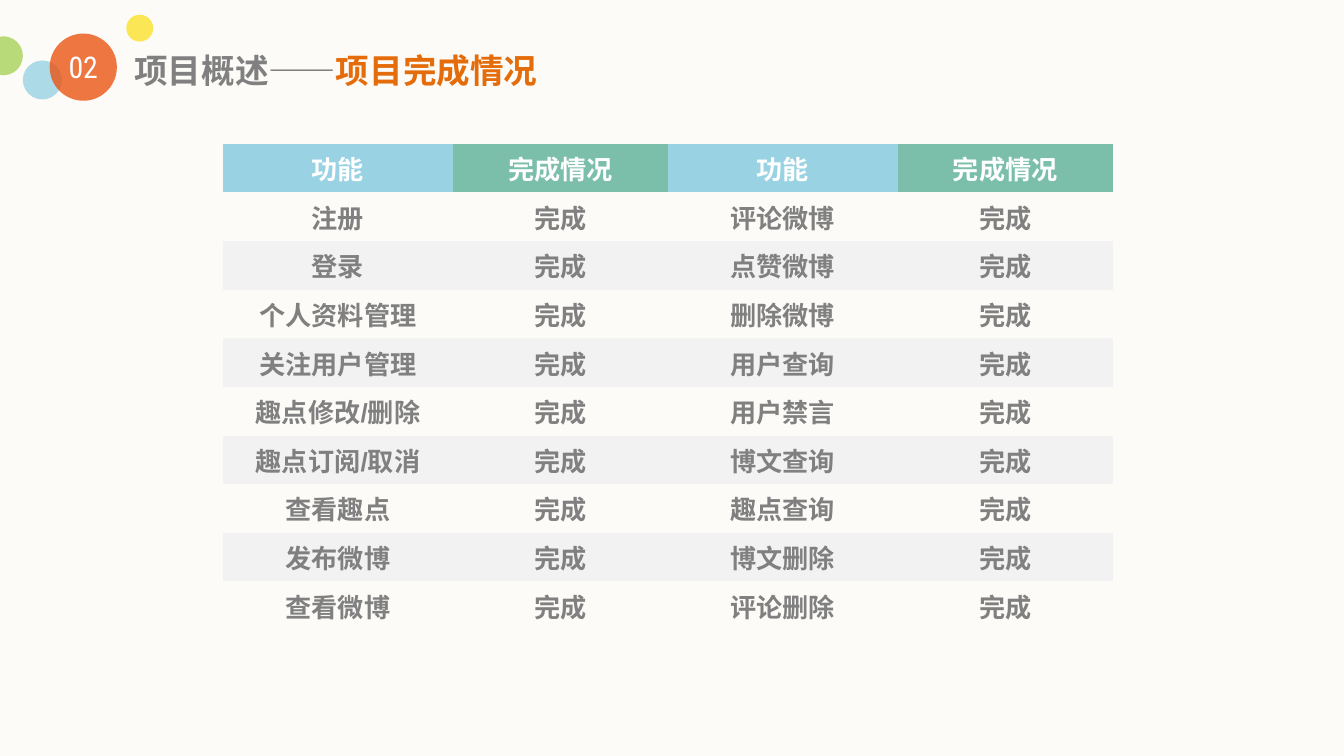
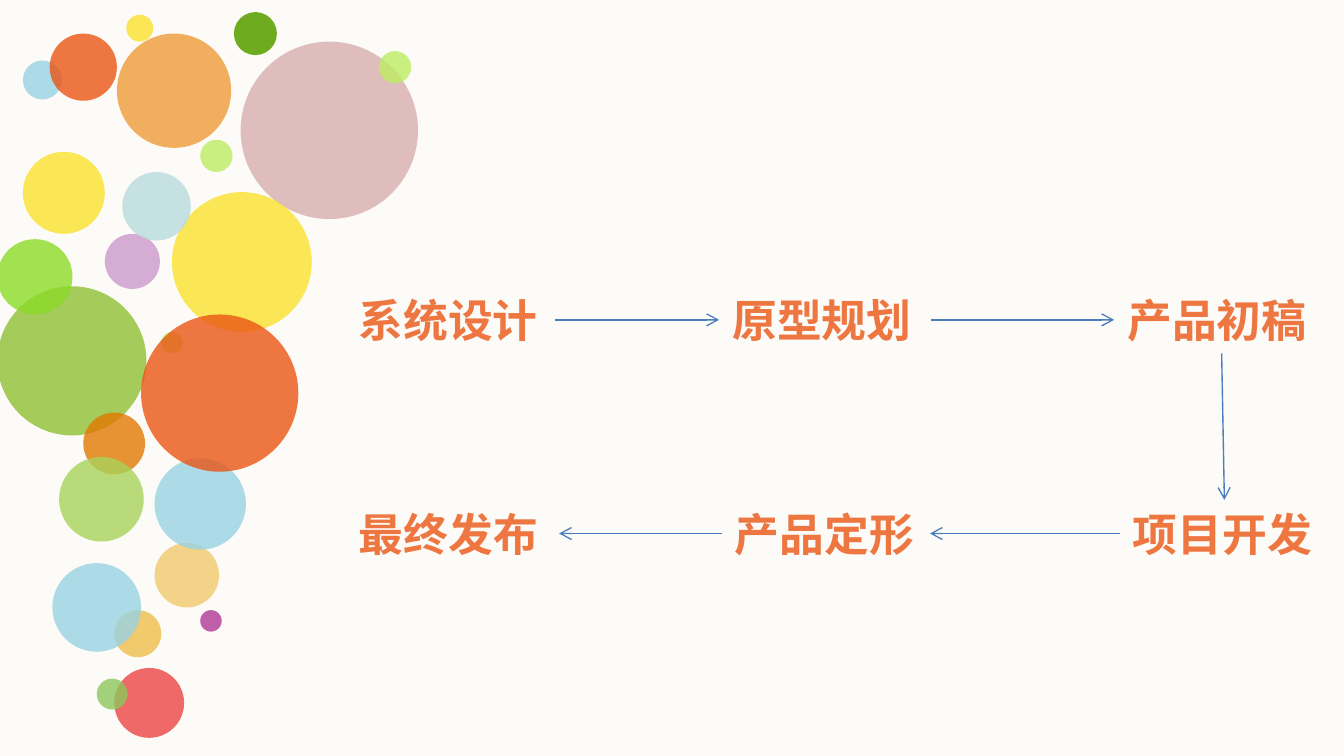
from lxml import etree
from pptx import Presentation
from pptx.dml.color import RGBColor as RGB
from pptx.enum.shapes import MSO_CONNECTOR as LINE, MSO_SHAPE as SHAPE
from pptx.enum.text import MSO_ANCHOR as ANCHOR, MSO_AUTO_SIZE as AUTO, PP_ALIGN as ALIGN
from pptx.oxml.ns import qn
from pptx.util import Inches, Pt

CREAM = RGB(0xFC, 0xFB, 0xF7)
WHITE = RGB(0xFF, 0xFF, 0xFF)
GRAY = RGB(0x80, 0x80, 0x80)
PALE = RGB(0xF2, 0xF2, 0xF2)
SKY = RGB(0x98, 0xD2, 0xE3)
TEAL = RGB(0x7B, 0xBF, 0xAA)
AMBER = RGB(0xE4, 0x6C, 0x0A)
CORAL = RGB(0xED, 0x76, 0x41)
BLUE = RGB(0x4B, 0x7E, 0xBC)
YELLOW = RGB(0xFB, 0xE2, 0x2D)
LIME = RGB(0xA9, 0xD2, 0x5A)
RED = RGB(0xEA, 0x55, 0x14)
GREEN = RGB(0x6E, 0xAB, 0x1F)
PEACH = RGB(0xED, 0x9B, 0x38)
ROSE = RGB(0xD8, 0xAE, 0xAF)
LEAF = RGB(0xA5, 0xCB, 0x5A)
MINT = RGB(0xBC, 0xED, 0x61)
LILAC = RGB(0xCB, 0x99, 0xCC)
GRASS = RGB(0x8C, 0xDB, 0x27)
PLUM = RGB(0xB0, 0x38, 0x96)
SAND = RGB(0xF0, 0xCA, 0x6C)
CHERRY = RGB(0xEB, 0x45, 0x44)
FERN = RGB(0x8D, 0xC6, 0x5B)
MIST = RGB(0xB9, 0xDB, 0xDD)
RUST = RGB(0xE2, 0x79, 0x02)

HEAD_FONT = "Roboto Condensed"
NO_STYLE = "{2D5ABB26-0587-4C30-8999-92F81FD0307C}"
DONE = "完成"

# Dots are left, top, size, colour, opacity in percent
CORNER = [
    (0.94, 0.11, 0.2, YELLOW, 80),
    (0.17, 0.45, 0.29, SKY, 80),
    (0.37, 0.25, 0.5, RED, 80),
]
EDGE = [(-0.12, 0.27, 0.29, LIME, 80)]
CLUSTER = [
    (1.74, 0.09, 0.32, GREEN, 100),
    (0.87, 0.25, 0.85, PEACH, 80),
    (1.79, 0.31, 1.32, ROSE, 80),
    (-0.02, 2.13, 1.11, LEAF, 100),
    (2.82, 0.38, 0.24, MINT, 80),
    (1.49, 1.04, 0.24, MINT, 80),
    (0.78, 1.74, 0.41, LILAC, 80),
    (1.28, 1.43, 1.04, YELLOW, 80),
    (0.17, 1.13, 0.61, YELLOW, 80),
    (-0.02, 1.78, 0.56, GRASS, 80),
    (1.2, 2.47, 0.16, MINT, 80),
    (1.49, 4.54, 0.16, PLUM, 80),
    (1.15, 4.04, 0.48, SAND, 80),
    (0.85, 4.54, 0.35, SAND, 100),
    (0.85, 4.97, 0.52, CHERRY, 80),
    (0.72, 5.05, 0.23, FERN, 80),
    (0.39, 4.19, 0.66, SKY, 80),
    (0.91, 1.28, 0.51, MIST, 80),
    (1.15, 3.41, 0.68, SKY, 80),
    (0.62, 3.07, 0.46, RUST, 80),
    (0.44, 3.4, 0.63, LIME, 80),
    (1.05, 2.34, 1.17, RED, 80),
]

TASKS = [
    ["注册", "登录", "个人资料管理", "关注用户管理", "趣点修改/删除",
     "趣点订阅/取消", "查看趣点", "发布微博", "查看微博"],
    ["评论微博", "点赞微博", "删除微博", "用户查询", "用户禁言",
     "博文查询", "趣点查询", "博文删除", "评论删除"],
]

# Steps are text, left, top, width, in reading order of the flow
STEPS = [
    ("系统设计", 0, 0, 1.56),
    ("原型规划", 2.78, 0, 1.58),
    ("产品初稿", 5.72, 0, 1.6),
    ("项目开发", 5.76, 1.59, 1.56),
    ("产品定形", 2.8, 1.59, 1.55),
    ("最终发布", 0, 1.59, 1.59),
]
TOP, LEFT, BOTTOM, RIGHT = range(4)
JOINS = [(RIGHT, LEFT)] * 2 + [(BOTTOM, TOP)] + [(LEFT, RIGHT)] * 2


def write(para, text, size=14, font="Arial", color=GRAY, bold=True, align=None):
    run = para.add_run()
    run.text = text
    run.font.size, run.font.name, run.font.bold = Pt(size), font, bold
    run.font.color.rgb = color
    if align is not None:
        para.alignment = align


def add_box(slide, x, y, w, h, inset=0.0):
    box = slide.shapes.add_textbox(Inches(x), Inches(y), Inches(w), Inches(h))
    frame = box.text_frame
    frame.word_wrap = True
    frame.auto_size = AUTO.SHAPE_TO_FIT_TEXT
    frame.margin_left = frame.margin_right = Inches(inset)
    frame.margin_top = frame.margin_bottom = Inches(inset / 2)
    return box


def add_dots(slide, dots, x=0, y=0):
    for left, top, size, color, alpha in dots:
        dot = slide.shapes.add_shape(
            SHAPE.OVAL, Inches(x + left), Inches(y + top), Inches(size), Inches(size))
        dot.shadow.inherit = False
        dot.line.fill.background()
        dot.fill.solid()
        dot.fill.fore_color.rgb = color
        if alpha < 100:
            tint = dot.fill._xPr.find(qn("a:solidFill"))[0]
            etree.SubElement(tint, qn("a:alpha")).set("val", str(alpha * 1000))


def add_title(slide, x, y, number, topic, part):
    # Section number over the red dot
    para = add_box(slide, x, y, 0.36, 0.54).text_frame.paragraphs[0]
    write(para, number, size=16, font=HEAD_FONT, color=WHITE, bold=False,
          align=ALIGN.CENTER)
    # Two-colour heading
    para = add_box(slide, x + 0.56, y + 0.01, 4.47, 0.3).text_frame.paragraphs[0]
    write(para, topic, size=18, font=HEAD_FONT)
    write(para, part, size=18, font=HEAD_FONT, color=AMBER)


def add_tasks(slide, x, y, w, h, tasks):
    rows = [("功能", "完成情况")] + [(task, DONE) for task in tasks]
    frame = slide.shapes.add_table(
        len(rows), 2, Inches(x), Inches(y), Inches(w), Inches(h))
    table = frame.table
    table.first_row = table.horz_banding = False
    table._tbl.tblPr.find(qn("a:tableStyleId")).text = NO_STYLE
    table.columns[0].width = Inches(1.71)
    table.columns[1].width = Inches(w - 1.71)
    for r, row in enumerate(rows):
        for c, text in enumerate(row):
            cell = table.cell(r, c)
            cell.vertical_anchor = ANCHOR.MIDDLE
            cell.margin_top = cell.margin_bottom = 0
            write(cell.text_frame.paragraphs[0], text,
                  color=GRAY if r else WHITE, align=ALIGN.CENTER)
            # Coloured head, then every second row shaded
            if r % 2:
                cell.fill.background()
            else:
                cell.fill.solid()
                cell.fill.fore_color.rgb = PALE if r else (SKY, TEAL)[c]


def add_arrow(slide, start, end, sides):
    arrow = slide.shapes.add_connector(LINE.STRAIGHT, 0, 0, 0, 0)
    arrow.begin_connect(start, sides[0])
    arrow.end_connect(end, sides[1])
    arrow.line.color.rgb = BLUE
    arrow.line.width = Pt(0.75)
    etree.SubElement(arrow.line._get_or_add_ln(), qn("a:tailEnd")).set("type", "arrow")
    etree.SubElement(arrow._element.spPr, qn("a:effectLst"))


def add_flow(slide, x, y):
    boxes = []
    for text, left, top, width in STEPS:
        box = add_box(slide, x + left, y + top, width, 0.5, inset=0.1)
        write(box.text_frame.paragraphs[0], text, size=24, font="Calibri", color=CORAL)
        boxes.append(box)
    for start, end, sides in zip(boxes, boxes[1:], JOINS):
        add_arrow(slide, start, end, sides)


def add_slide(deck):
    return deck.slides.add_slide(deck.slide_layouts[6])


def status_slide(deck):
    slide = add_slide(deck)
    add_dots(slide, EDGE + CORNER)
    add_title(slide, 0.44, 0.36, "02", "项目概述——", "项目完成情况")
    for i, tasks in enumerate(TASKS):
        add_tasks(slide, 1.66 + i * 3.31, 1.07, 3.31, 3.62, tasks)


def flow_slide(deck):
    slide = add_slide(deck)
    add_dots(slide, CORNER)
    add_flow(slide, 2.57, 2.13)
    add_dots(slide, CLUSTER)


def main():
    deck = Presentation()
    # Widescreen, 16 to 9
    deck.slide_width, deck.slide_height = Inches(10), Inches(10 * 9 / 16)
    # Shared background
    back = deck.slide_master.background.fill
    back.solid()
    back.fore_color.rgb = CREAM
    status_slide(deck)
    flow_slide(deck)
    deck.save("out.pptx")


if __name__ == "__main__":
    main()
